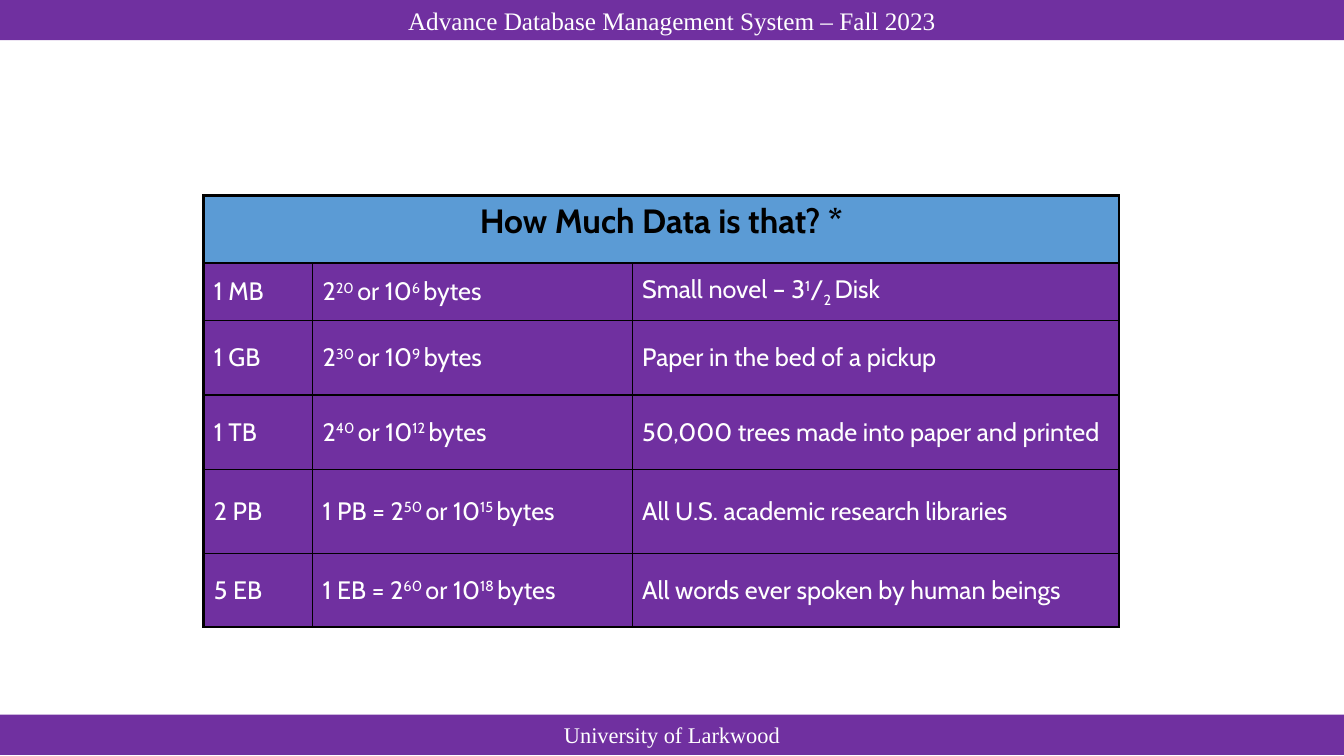
from lxml.etree import SubElement
from pptx import Presentation
from pptx.dml.color import RGBColor
from pptx.enum.shapes import MSO_SHAPE
from pptx.enum.text import MSO_ANCHOR, PP_ALIGN
from pptx.oxml.ns import qn
from pptx.util import Inches, Pt

PURPLE, BLUE, WHITE, BLACK = "7030A0", "5B9BD5", "FFFFFF", "000000"
SUPER, SUB = 30, -25
THIN, THICK = 1, 2.25


def rgb(code):
    return RGBColor.from_string(code)


def power(prefix, binary, decimal):
    """Runs for a size written as a power of two and of ten."""
    return [(prefix + "2", 0), (f"{binary} ", SUPER), ("or 10", 0),
            (f"{decimal} ", SUPER), ("bytes", 0)]


class DataSlide:
    bar_font, table_font = "Times New Roman", "Cabin"

    def __init__(self, prs):
        self.s = prs.slides.add_slide(prs.slide_layouts[6])
        self.width = prs.slide_width

    def text(self, tf, runs, font, size, color, bold=False,
             align=PP_ALIGN.LEFT, before=0):
        p = tf.paragraphs[0]
        p.alignment = align
        p.space_before = Pt(before)
        for words, baseline in runs:
            r = p.add_run()
            r.text = words
            r.font.name, r.font.size, r.font.bold = font, Pt(size), bold
            r.font.color.rgb = rgb(color)
            if baseline:
                r._r.get_or_add_rPr().set("baseline", str(baseline * 1000))

    def bar(self, top, words, size, anchor):
        sp = self.s.shapes.add_shape(MSO_SHAPE.RECTANGLE, 0, Inches(top),
                                     self.width, Inches(0.4))
        sp.shadow.inherit = False
        sp.fill.solid()
        sp.fill.fore_color.rgb = rgb(PURPLE)
        sp.line.fill.background()
        tf = sp.text_frame
        tf.word_wrap, tf.vertical_anchor = True, anchor
        self.text(tf, [(words, 0)], self.bar_font, size, WHITE,
                  align=PP_ALIGN.CENTER)

    def borders(self, cell, **widths):
        tcPr = cell._tc.get_or_add_tcPr()
        for i, side in enumerate("LRTB"):
            ln = SubElement(tcPr, qn(f"a:ln{side}"), w=str(Pt(widths[side])))
            fill = SubElement(ln, qn("a:solidFill"))
            SubElement(fill, qn("a:srgbClr"), val=BLACK)
            tcPr.insert(i, ln)

    def table(self, left, top, cols, heights, heading, rows):
        tbl = self.s.shapes.add_table(
            len(heights), len(cols), Inches(left), Inches(top),
            Inches(sum(cols)), Inches(sum(heights))).table
        for column, width in zip(tbl.columns, cols):
            column.width = Inches(width)
        for row, height in zip(tbl.rows, heights):
            row.height = Inches(height)

        # Fills and borders: thick around the table, thin inside
        last_row, last_col = len(heights) - 1, len(cols) - 1
        for i in range(len(heights)):
            for j in range(len(cols)):
                cell = tbl.cell(i, j)
                cell.fill.solid()
                cell.fill.fore_color.rgb = rgb(PURPLE if i else BLUE)
                self.borders(cell,
                             L=THIN if j else THICK,
                             R=THICK if j == last_col or i == 0 else THIN,
                             T=THIN if i else THICK,
                             B=THICK if i == last_row else THIN)

        # Heading across all columns
        head = tbl.cell(0, 0)
        head.merge(tbl.cell(0, last_col))
        self.text(head.text_frame, [(heading, 0)], self.table_font, 24, BLACK,
                  bold=True, align=PP_ALIGN.CENTER, before=4.8)

        # Body text
        for i, row in enumerate(rows, 1):
            for j, runs in enumerate(row):
                cell = tbl.cell(i, j)
                cell.vertical_anchor = MSO_ANCHOR.MIDDLE
                if isinstance(runs, str):
                    runs = [(runs, 0)]
                self.text(cell.text_frame, runs, self.table_font, 18, WHITE,
                          before=3.6)


def main():
    prs = Presentation()
    prs.slide_width, prs.slide_height = Inches(13.33), Inches(7.5)
    slide = DataSlide(prs)

    # Header and footer bars
    slide.bar(0, "Advance Database Management System – Fall 2023", 18,
              MSO_ANCHOR.TOP)
    slide.bar(7.09, "University of Larkwood", 16, MSO_ANCHOR.MIDDLE)

    # Table of data sizes
    disk = [("Small novel – 3", 0), ("1", SUPER), ("/", 0), ("2 ", SUB),
            ("Disk", 0)]
    slide.table(
        2.02, 1.94, [1.08, 3.17, 4.83], [0.67, 0.57, 0.74, 0.74, 0.83, 0.73],
        "How Much Data is that? *",
        [("1 MB", power("", 20, 6), disk),
         ("1 GB", power("", 30, 9), "Paper in the bed of a pickup"),
         ("1 TB", power("", 40, 12),
          "50,000 trees made into paper and printed"),
         ("2 PB", power("1 PB = ", 50, 15),
          "All U.S. academic research libraries"),
         ("5 EB", power("1 EB = ", 60, 18),
          "All words ever spoken by human beings")])

    prs.save("out.pptx")


if __name__ == "__main__":
    main()
